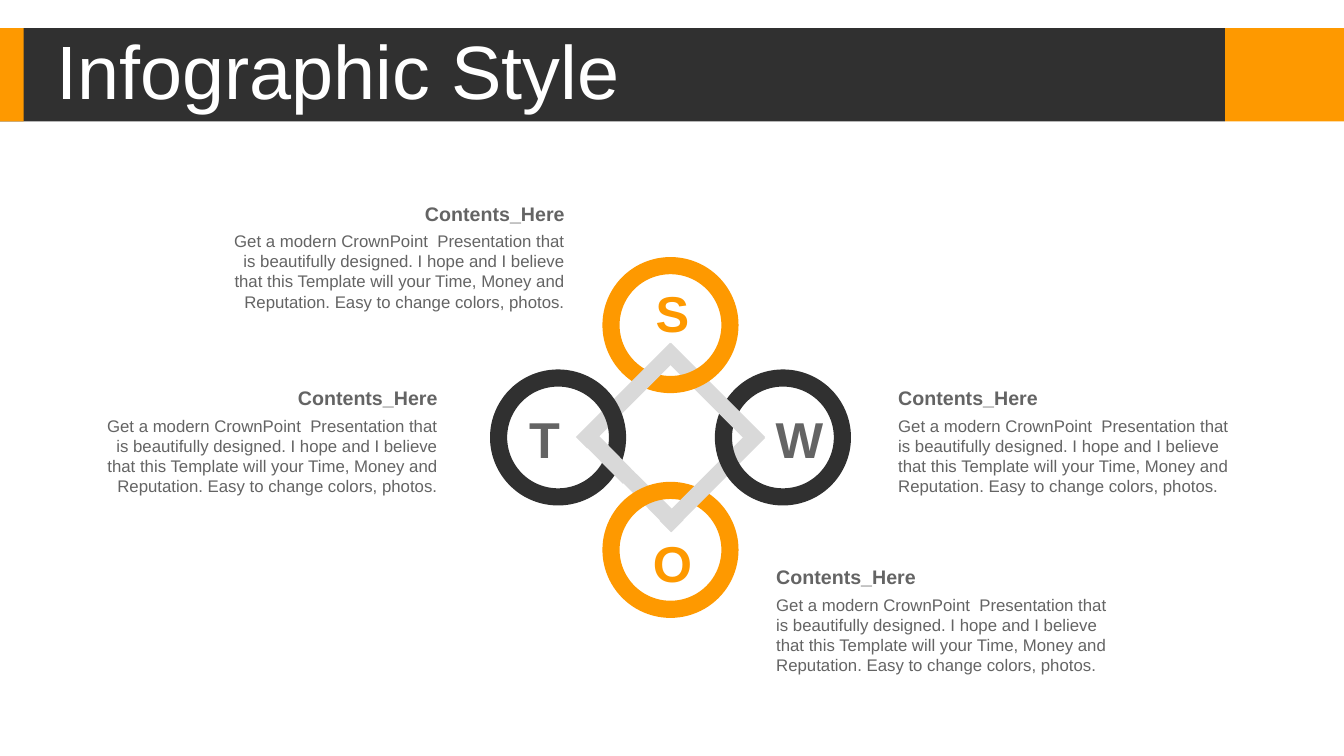
"""Build a four-part SWOT infographic slide."""
from pptx import Presentation
from pptx.dml.color import RGBColor
from pptx.enum.shapes import MSO_SHAPE
from pptx.enum.text import MSO_ANCHOR, PP_ALIGN
from pptx.util import Inches, Pt

RECTANGLE, OVAL = MSO_SHAPE.RECTANGLE, MSO_SHAPE.OVAL
LEFT, CENTER, RIGHT = PP_ALIGN.LEFT, PP_ALIGN.CENTER, PP_ALIGN.RIGHT
TOP, MIDDLE = MSO_ANCHOR.TOP, MSO_ANCHOR.MIDDLE
COLUMNS, ROWS = 133.3, 75
ORANGE, DARK, GRAY, SILVER, WHITE = "FE9900", "303030", "646464", "D9D9D9", "FFFFFF"

HEADING = "Contents_Here"
BODY = ("Get a modern CrownPoint  Presentation that is beautifully designed. "
        "I hope and I believe that this Template will your Time, Money and "
        "Reputation. Easy to change colors, photos.")
CENTER_X, CENTER_Y = 66.5, 43.4
RING_SIZE, RING_REACH = 11.8, 11.15
BAR_LENGTH, BAR_THICKNESS, BAR_REACH = 13.2, 1.6, 4.15
RINGS = [(0, 1, ORANGE), (1, 0, DARK), (0, -1, ORANGE), (-1, 0, DARK)]
BAR_ANGLES = [135, 45, 315]
LOWER_HALF = [(62.8, 46.7), (67.8, 51.6), (66.6, 52.8), (61.7, 47.8)]
UPPER_HALF = [(58.5, 42.3), (62.9, 46.8), (61.8, 48), (57.3, 43.5)]
LETTERS = [("S", 64, 28, ORANGE), ("W", 76.6, 40.5, GRAY),
           ("T", 51.3, 40.5, GRAY), ("O", 64, 52.8, ORANGE)]
CAPTIONS = [(88.1, 37.8, LEFT), (76, 55.6, LEFT), (21.2, 19.5, RIGHT), (8.6, 37.8, RIGHT)]


def color(value):
    return RGBColor.from_string(value)


class SlideBuilder:
    """Hold the font, grid and current slide, and draw elements on it."""

    def __init__(self, presentation, font="Arial"):
        self.slide = presentation.slides.add_slide(presentation.slide_layouts[6])
        self.font = font
        self.column = presentation.slide_width / COLUMNS
        self.row = presentation.slide_height / ROWS

    def place(self, left, top, width, height):
        return (round(left * self.column), round(top * self.row),
                round(width * self.column), round(height * self.row))

    def paint(self, shape, fill):
        shape.shadow.inherit = False
        shape.fill.solid()
        shape.fill.fore_color.rgb = color(fill)
        shape.line.fill.background()

    def rectangle(self, left, top, width, height, fill, rotation=0):
        shape = self.slide.shapes.add_shape(RECTANGLE, *self.place(left, top, width, height))
        self.paint(shape, fill)
        shape.rotation = rotation

    def ring(self, center_x, center_y, size, line):
        shape = self.slide.shapes.add_shape(
            OVAL, *self.place(center_x - size / 2, center_y - size / 2, size, size))
        shape.shadow.inherit = False
        shape.fill.background()
        shape.line.color.rgb = color(line)
        shape.line.width = Pt(12.25)

    def polygon(self, points, fill):
        corners = [(round(x * self.column), round(y * self.row)) for x, y in points]
        builder = self.slide.shapes.build_freeform(*corners[0])
        builder.add_line_segments(corners[1:], close=True)
        self.paint(builder.convert_to_shape(), fill)

    def text(self, left, top, width, height, words, size, ink, bold=False,
             align=LEFT, anchor=TOP, inset=True, spacing=None):
        frame = self.slide.shapes.add_textbox(*self.place(left, top, width, height)).text_frame
        frame.word_wrap = True
        frame.vertical_anchor = anchor
        if not inset:
            frame.margin_left = frame.margin_right = frame.margin_top = frame.margin_bottom = 0
        paragraph = frame.paragraphs[0]
        paragraph.text = words
        paragraph.alignment = align
        paragraph.line_spacing = spacing
        paragraph.font.name = self.font
        paragraph.font.size = Pt(size)
        paragraph.font.bold = bold
        paragraph.font.color.rgb = color(ink)


def main():
    presentation = Presentation()
    presentation.slide_width, presentation.slide_height = Inches(13.33), Inches(7.5)
    builder = SlideBuilder(presentation)

    for left, width, fill in [(121.5, 11.8, ORANGE), (0, 121.5, DARK), (0, 2.35, ORANGE)]:
        builder.rectangle(left, 2.8, width, 9.25, fill)
    builder.text(4.6, 3.5, 97, 7.9, "Infographic Style", 54, WHITE, anchor=MIDDLE, spacing=0.9)

    builder.polygon(LOWER_HALF, SILVER)
    for index, (across, down, line) in enumerate(RINGS):
        builder.ring(CENTER_X + across * RING_REACH, CENTER_Y + down * RING_REACH, RING_SIZE, line)
        if index < len(BAR_ANGLES):
            next_across, next_down, _ = RINGS[index + 1]
            builder.rectangle(CENTER_X + (across + next_across) * BAR_REACH - BAR_LENGTH / 2,
                              CENTER_Y + (down + next_down) * BAR_REACH - BAR_THICKNESS / 2,
                              BAR_LENGTH, BAR_THICKNESS, SILVER, BAR_ANGLES[index])
    builder.polygon(UPPER_HALF, SILVER)

    for letter, left, top, ink in LETTERS:
        builder.text(left, top, 5.4, 6.1, letter, 36, ink, bold=True, align=CENTER, inset=False)
    for left, top, align in CAPTIONS:
        builder.text(left, top + 2.9, 35.8, 9.1, BODY, 12, GRAY, align=align)
        builder.text(left, top, 35.8, 3.4, HEADING, 14, GRAY, bold=True, align=align)

    presentation.save("out.pptx")


if __name__ == "__main__":
    main()
